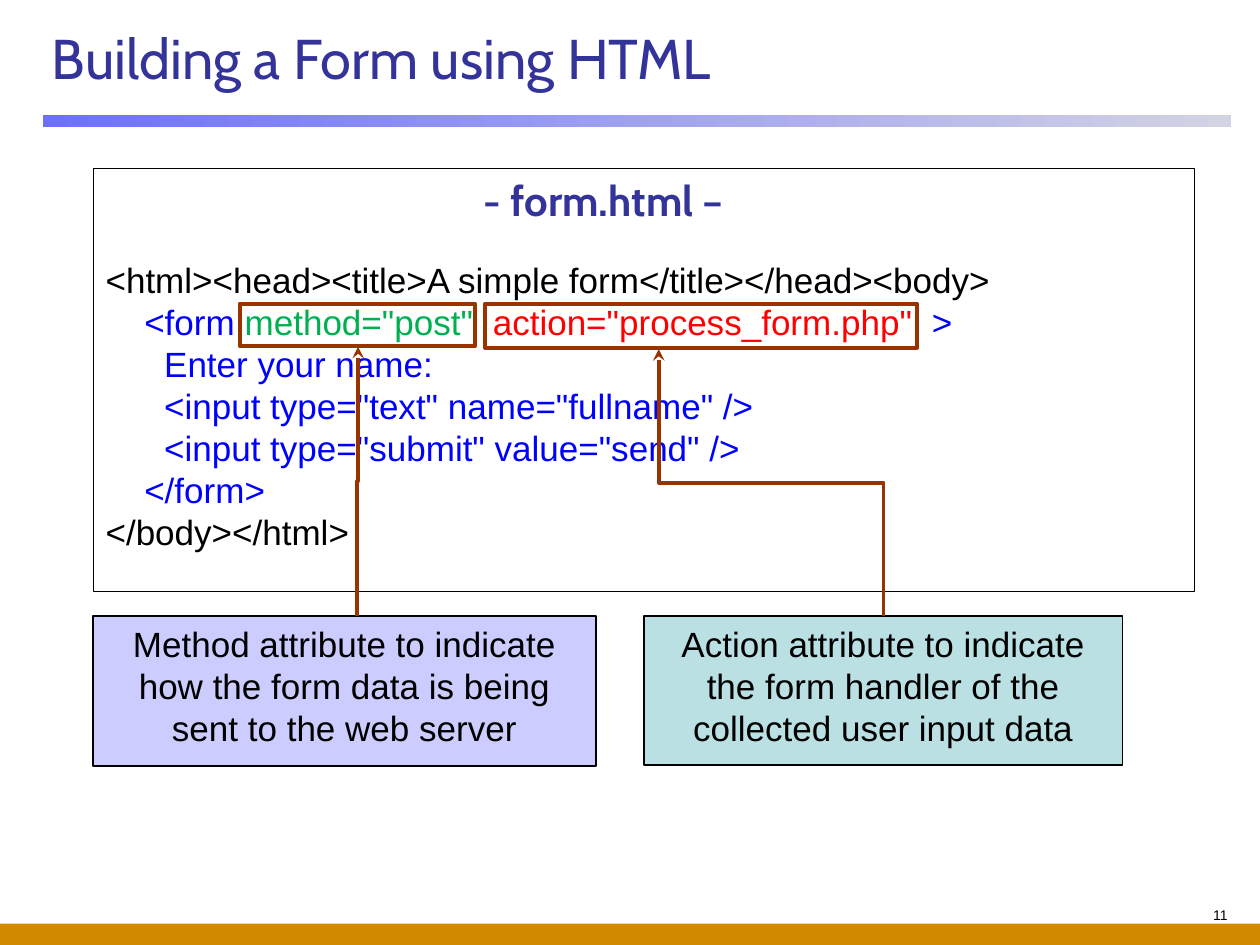
from dataclasses import dataclass

from lxml.etree import SubElement
from pptx import Presentation
from pptx.dml.color import RGBColor
from pptx.enum.shapes import MSO_CONNECTOR, MSO_SHAPE
from pptx.enum.text import MSO_ANCHOR, PP_ALIGN
from pptx.oxml.ns import qn
from pptx.util import Cm, Pt


@dataclass(frozen=True)
class Theme:
    heading_font: str = "Cabin"
    body_font: str = "Arial"
    title_size: int = 32
    file_size: int = 24
    body_size: int = 20
    number_size: int = 8
    line_pitch: int = 24
    heading: str = "333399"
    text: str = "000000"
    form: str = "0000FF"
    method: str = "00B050"
    action: str = "FF0000"
    marker: str = "993300"
    method_note: str = "CCCCFF"
    action_note: str = "BBE0E3"
    footer: str = "D18A00"
    rule_start: str = "6D70FD"
    rule_end: str = "D2D3E3"


THEME = Theme()

# Each code line: indent in cm, then its coloured pieces
CODE = [
    (0, [("<html><head><title>A simple form</title></head><body>", THEME.text)]),
    (0.78, [("<form ", THEME.form), ('method="post"  ', THEME.method),
            ('action="process_form.php"', THEME.action), ("  >", THEME.form)]),
    (1.18, [("Enter your name:", THEME.form)]),
    (1.18, [('<input type="text" name="fullname" />', THEME.form)]),
    (1.18, [('<input type="submit" value="send" />', THEME.form)]),
    (0.78, [("</form>", THEME.form)]),
    (0, [("</body></html>", THEME.text)]),
]


def rgb(code):
    return RGBColor.from_string(code)


def style(paragraph, size, color=THEME.text, face=THEME.body_font, bold=False):
    font = paragraph.font
    font.name, font.size, font.bold = face, Pt(size), bold
    font.color.rgb = rgb(color)


def add_box(slide, bounds, fill=None, line=None, width=1):
    box = slide.shapes.add_shape(MSO_SHAPE.RECTANGLE, *map(Cm, bounds))
    box.shadow.inherit = False
    if fill:
        box.fill.solid()
        box.fill.fore_color.rgb = rgb(fill)
    else:
        box.fill.background()
    if line:
        box.line.color.rgb = rgb(line)
        box.line.width = Pt(width)
    else:
        box.line.fill.background()
    return box


def add_title(slide, wording):
    title = slide.shapes.title
    title.left, title.top, title.width, title.height = map(Cm, (0.79, 0.25, 25.35, 1.8))
    title.text_frame.text = wording
    title.text_frame.vertical_anchor = MSO_ANCHOR.MIDDLE
    heading = title.text_frame.paragraphs[0]
    heading.alignment = PP_ALIGN.LEFT
    style(heading, THEME.title_size, THEME.heading, THEME.heading_font)


def add_title_rule(slide):
    rule = add_box(slide, (0.86, 2.31, 23.95, 0.25))
    rule.fill.gradient()
    rule.fill.gradient_angle = 0
    for stop, color in zip(rule.fill.gradient_stops, (THEME.rule_start, THEME.rule_end)):
        stop.color.rgb = rgb(color)


def indent(paragraph, distance):
    properties = paragraph._p.get_or_add_pPr()
    properties.set("marL", str(Cm(distance)))
    properties.set("indent", "0")


def add_code(slide):
    listing = add_box(slide, (1.88, 3.4, 22.2, 8.53), line=THEME.text, width=0.75)
    frame = listing.text_frame
    frame.word_wrap = True
    frame.vertical_anchor = MSO_ANCHOR.TOP

    file_name = frame.paragraphs[0]
    file_name.text = "- form.html –"
    file_name.alignment = PP_ALIGN.LEFT
    file_name.space_after = Pt(19)
    indent(file_name, 7.62)
    style(file_name, THEME.file_size, THEME.heading, THEME.heading_font, bold=True)

    for distance, pieces in CODE:
        code_line = frame.add_paragraph()
        code_line.alignment = PP_ALIGN.LEFT
        code_line.line_spacing = Pt(THEME.line_pitch)
        indent(code_line, distance)
        style(code_line, THEME.body_size)
        for wording, color in pieces:
            piece = code_line.add_run()
            piece.text = wording
            piece.font.color.rgb = rgb(color)


def add_note(slide, bounds, fill, wording):
    note = add_box(slide, bounds, fill, THEME.text)
    frame = note.text_frame
    frame.word_wrap = True
    frame.vertical_anchor = MSO_ANCHOR.TOP
    frame.text = wording
    explanation = frame.paragraphs[0]
    explanation.alignment = PP_ALIGN.CENTER
    explanation.line_spacing = Pt(THEME.line_pitch)
    style(explanation, THEME.body_size)


def add_upward_elbow(slide, start, end):
    """Lay the elbow on its side, then turn it so that it leaves upwards."""
    (start_x, start_y), (end_x, end_y) = start, end
    middle_x, middle_y = (start_x + end_x) / 2, (start_y + end_y) / 2
    half_rise, half_run = (start_y - end_y) / 2, (start_x - end_x) / 2
    arrow = slide.shapes.add_connector(
        MSO_CONNECTOR.ELBOW,
        Cm(middle_x - half_rise), Cm(middle_y + half_run),
        Cm(middle_x + half_rise), Cm(middle_y - half_run))
    arrow.line.color.rgb = rgb(THEME.marker)
    arrow.line.width = Pt(2.25)
    properties = arrow._element.spPr
    properties.find(qn("a:xfrm")).set("rot", str(270 * 60000))
    SubElement(properties.find(qn("a:ln")), qn("a:tailEnd"), type="stealth")
    SubElement(properties, qn("a:effectLst"))


def add_slide_number(slide, number):
    corner = slide.shapes.add_textbox(*map(Cm, (21.39, 18.16, 3.61, 0.84)))
    corner.text_frame.word_wrap = True
    corner.text_frame.text = number
    label = corner.text_frame.paragraphs[0]
    label.alignment = PP_ALIGN.RIGHT
    style(label, THEME.number_size)


def main():
    deck = Presentation()
    deck.slide_width, deck.slide_height = Cm(25.4), Cm(19.05)
    slide = deck.slides.add_slide(deck.slide_layouts[5])

    # Page furniture
    add_box(slide, (0, 18.62, 25.4, 0.43), THEME.footer)
    add_title_rule(slide)
    add_title(slide, "Building a Form using HTML")
    add_slide_number(slide, "11")

    # Code with its two attributes framed
    add_code(slide)
    for frame in ((4.83, 6.12, 4.75, 0.86), (9.78, 6.12, 8.71, 0.89)):
        add_box(slide, frame, line=THEME.marker, width=2.25)

    # Explanations, each pointing up at its attribute
    add_note(slide, (12.98, 12.42, 9.65, 3), THEME.action_note,
             "Action attribute to indicate the form handler of the collected user input data")
    add_upward_elbow(slide, (17.81, 12.42), (13.28, 7.04))
    add_note(slide, (1.88, 12.42, 10.13, 3.02), THEME.method_note,
             "Method attribute to indicate how the form data is being sent to the web server")
    add_upward_elbow(slide, (7.2, 12.42), (7.22, 6.99))

    deck.save("out.pptx")


if __name__ == "__main__":
    main()
